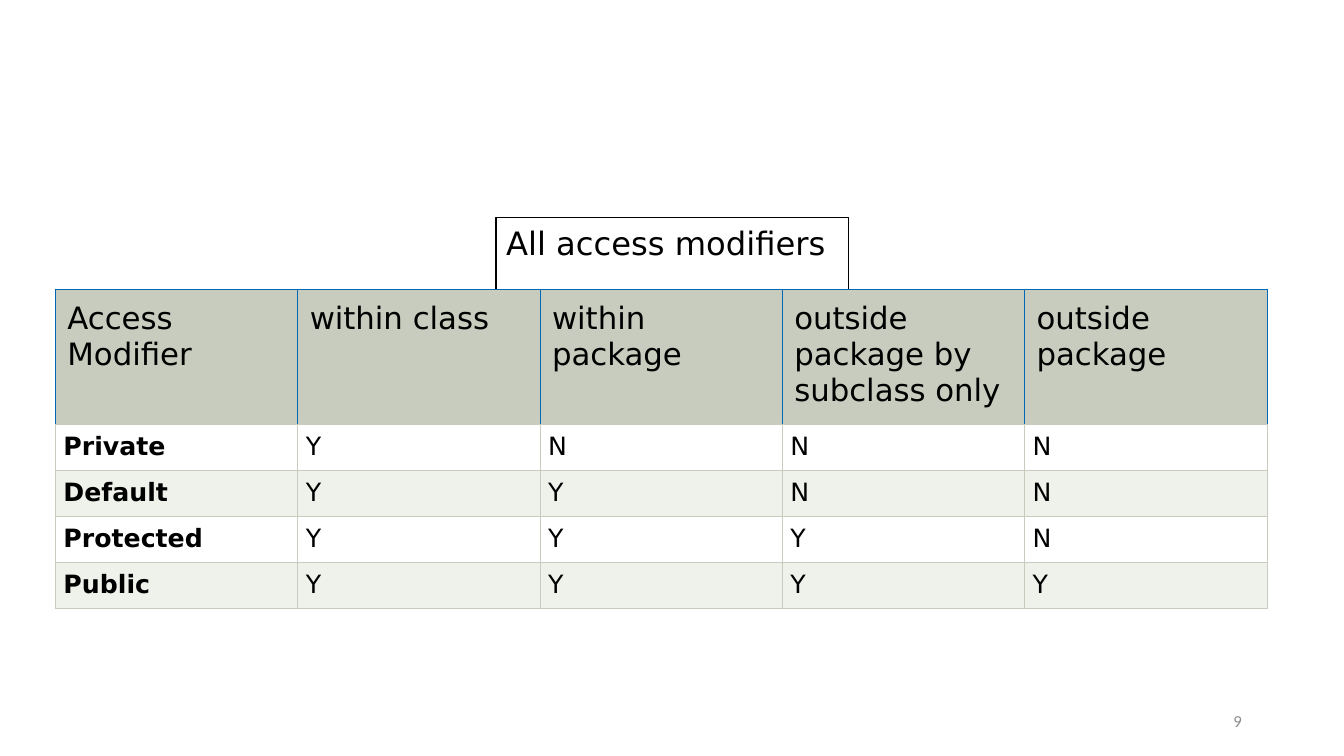
import pptx
import pptx.util
import pptx.dml.color
import pptx.enum.text
import pptx.oxml
import pptx.oxml.ns
from pptx.util import Cm, Pt

FONT = "DejaVu Sans"
BLACK, WHITE, SAGE, PALE, BLUE = "000000", "FFFFFF", "C7CCBE", "EFF1EB", "0069B7"

HEADERS = ["Access Modifier", "within class", "within package",
           "outside package by subclass only", "outside package"]
ACCESS = [("Private", "YNNN"), ("Default", "YYNN"),
          ("Protected", "YYYN"), ("Public", "YYYY")]


def rgb(color):
    return pptx.dml.color.RGBColor.from_string(color)


def set_font(p, size, color=BLACK, name=FONT, bold=False):
    f = p.font
    f.name, f.size, f.bold = name, Pt(size), bold
    f.color.rgb = rgb(color)


def place(sp, box):
    sp.left, sp.top, sp.width, sp.height = (Cm(v) for v in box)


def add_borders(cell, colors):
    tcPr = cell._tc.get_or_add_tcPr()
    for side, color in zip("LRTB", colors):
        tcPr.append(pptx.oxml.parse_xml(
            f'<a:ln{side} {pptx.oxml.ns.nsdecls("a")} w="{Pt(0.75)}"><a:solidFill>'
            f'<a:srgbClr val="{color}"/></a:solidFill></a:ln{side}>'))


def format_cell(cell, text, size, margin, fill, borders, bold=False):
    cell.margin_left = cell.margin_right = Cm(margin)
    cell.margin_top = cell.margin_bottom = Cm(margin)
    add_borders(cell, borders)
    cell.fill.solid()
    cell.fill.fore_color.rgb = rgb(fill)
    cell.text = text
    set_font(cell.text_frame.paragraphs[0], size, bold=bold)


def add_title(s, box):
    sp = s.shapes.title
    place(sp, box)
    sp.line.color.rgb = rgb(BLACK)
    sp.line.width = Pt(0.75)
    tf = sp.text_frame
    tf.text = "All access modifiers\u00a0"
    tf.word_wrap = False
    tf.auto_size = pptx.enum.text.MSO_AUTO_SIZE.SHAPE_TO_FIT_TEXT
    tf.vertical_anchor = pptx.enum.text.MSO_ANCHOR.TOP
    p = tf.paragraphs[0]
    p.alignment = pptx.enum.text.PP_ALIGN.LEFT
    set_font(p, 23)


def add_access_table(s, box, header_height):
    left, top, width, height = box
    rows, cols = len(ACCESS) + 1, len(HEADERS)
    table = s.shapes.add_table(rows, cols, *(Cm(v) for v in box)).table
    for col in table.columns:
        col.width = Cm(width / cols)
    for row in table.rows:
        row.height = Cm((height - header_height) / len(ACCESS))
    table.rows[0].height = Cm(header_height)

    # Header row
    for c, text in enumerate(HEADERS):
        format_cell(table.cell(0, c), text, 22, 0.3, SAGE, [BLUE, BLUE, BLUE, SAGE])

    # One row for each modifier
    for r, (modifier, flags) in enumerate(ACCESS, 1):
        fill = WHITE if r % 2 else PALE
        for c, text in enumerate([modifier, *flags]):
            format_cell(table.cell(r, c), text, 18, 0.2, fill, [SAGE] * 4, bold=c == 0)


def add_page_number(s, box, number):
    tf = s.shapes.add_textbox(*(Cm(v) for v in box)).text_frame
    tf.word_wrap = True
    tf.vertical_anchor = pptx.enum.text.MSO_ANCHOR.MIDDLE
    p = tf.paragraphs[0]
    p.text = str(number)
    p.alignment = pptx.enum.text.PP_ALIGN.RIGHT
    set_font(p, 12, "8C8C8C", "Calibri")


prs = pptx.Presentation()
prs.slide_width, prs.slide_height = Cm(33.87), Cm(19.05)
s = prs.slides.add_slide(prs.slide_layouts[5])
add_access_table(s, (1.4, 7.29, 30.53, 7.97), header_height=3.33)
add_title(s, (12.5, 5.49, 8.89, 1.24))
add_page_number(s, (23.93, 17.65, 7.62, 1.02), 9)
prs.save("out.pptx")
